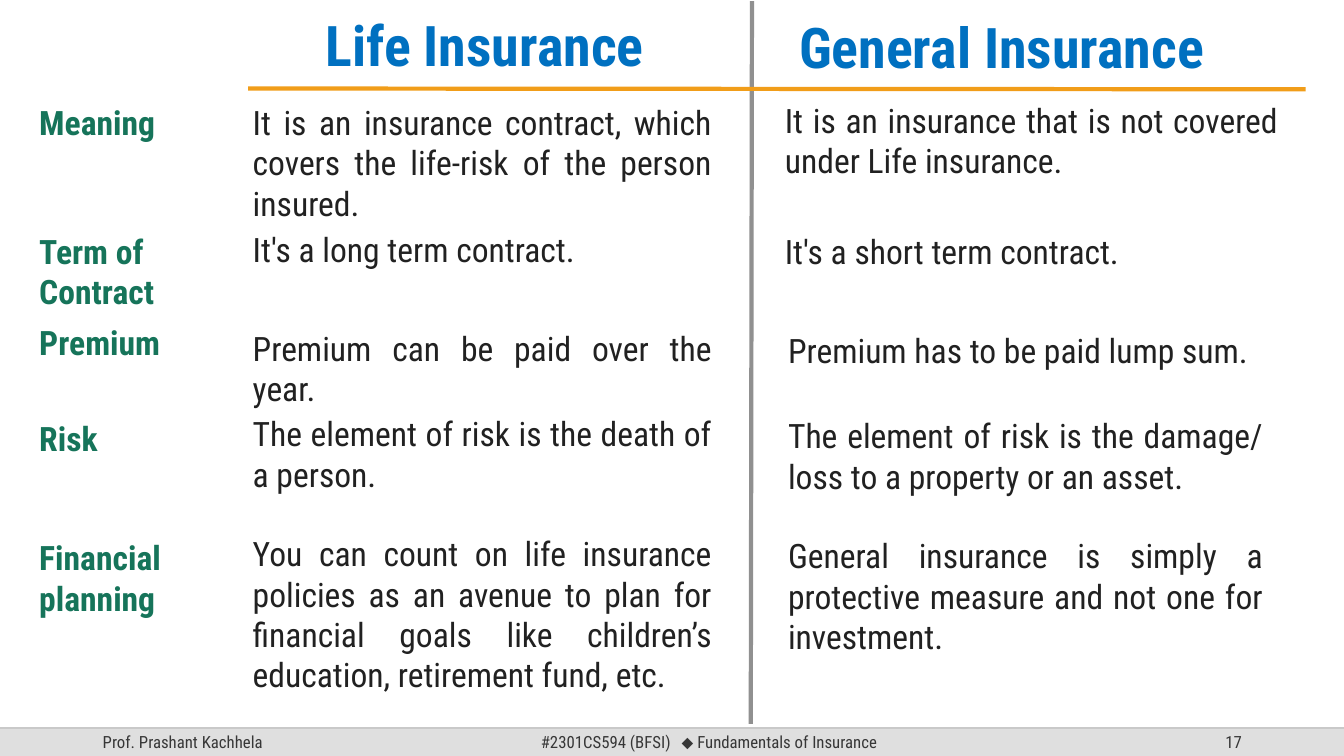
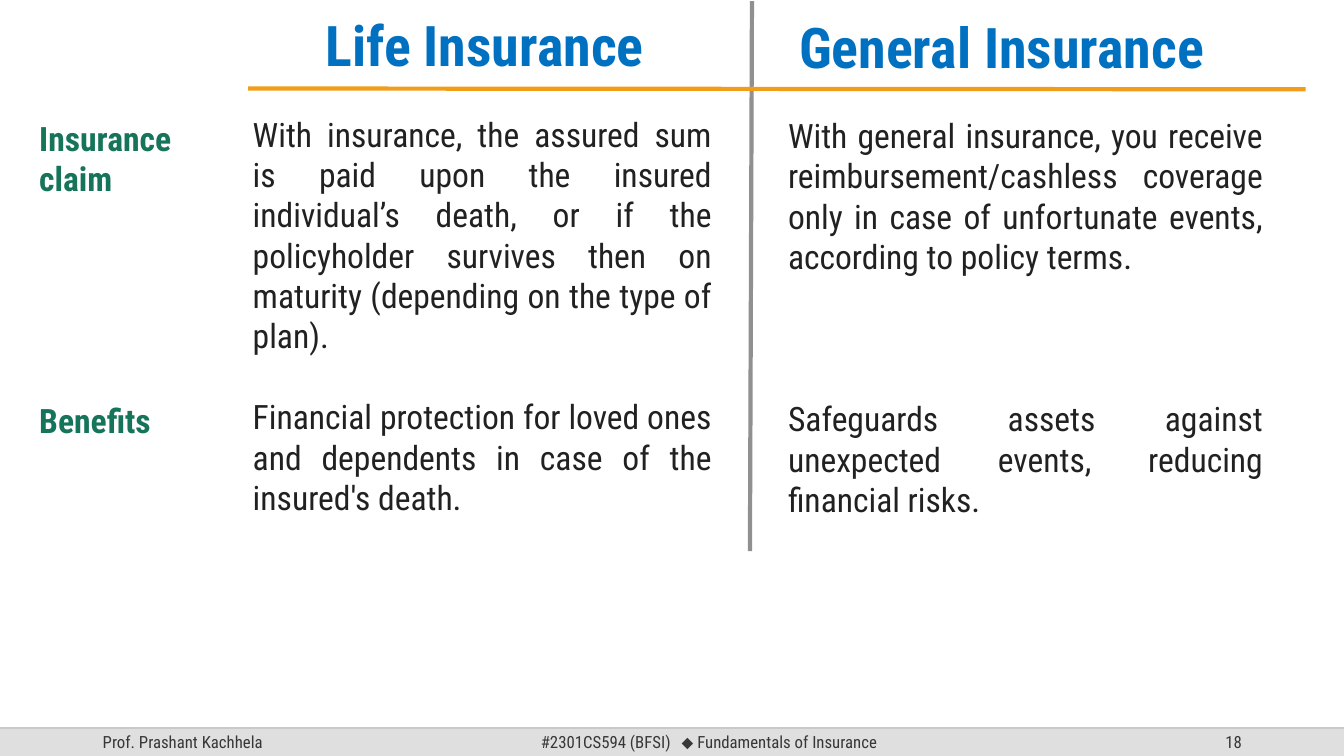
from lxml import etree
from pptx import Presentation
from pptx.dml.color import RGBColor
from pptx.enum.shapes import MSO_CONNECTOR, MSO_SHAPE
from pptx.enum.text import MSO_ANCHOR, MSO_AUTO_SIZE, PP_ALIGN
from pptx.oxml.ns import qn
from pptx.util import Cm, Pt

STRAIGHT = MSO_CONNECTOR.STRAIGHT
RECT = MSO_SHAPE.RECTANGLE
TOP, MIDDLE = MSO_ANCHOR.TOP, MSO_ANCHOR.MIDDLE
LEFT, RIGHT, JUSTIFY = PP_ALIGN.LEFT, PP_ALIGN.RIGHT, PP_ALIGN.JUSTIFY
NO_FIT = MSO_AUTO_SIZE.NONE

BLUE = RGBColor(0x00, 0x70, 0xC0)
GREEN = RGBColor(0x16, 0x74, 0x5A)
INK = RGBColor(0x21, 0x21, 0x21)
ORANGE = RGBColor(0xF1, 0x9D, 0x19)
GREY = RGBColor(0x90, 0x90, 0x90)
BAND = RGBColor(0xDF, 0xDF, 0xDF)
BAND_EDGE = RGBColor(0xC9, 0xC9, 0xC9)
FOOTER_INK = RGBColor(0x37, 0x37, 0x37)
FONT, SYMBOL_FONT, SYMBOL = "Roboto Condensed", "Arial", "⬥"

WIDTH, HEIGHT = 33.87, 19.05
BAND_TOP, BAND_HEIGHT = 18.34, 0.71
LABEL = (0.74, 4.5)
LIFE = (6.12, 12.07)
GENERAL = (19.61, 12.47)
GENERAL_WIDE = (19.53, 12.93)

HEADINGS = [
    ("Life Insurance", 7.95, 0.15, 9.2),
    ("General Insurance", 19.89, 0.2, 11.4),
]
FOOTER = [
    ("Prof. Prashant Kachhela", 2.34, 7.62),
    ("#2301CS594 (BFSI)", 13.38, 4),
    ("⬥ Fundamentals of Insurance", 16.93, 6.5),
]

SLIDES = [
    {
        "number": 17,
        "divider": (18.95, 0.03, 18.92, 18.24),
        "rows": [
            (GENERAL_WIDE, (2.44, 2.44, 2.39), "Meaning",
             "It is an insurance contract, which covers the life-risk of the person insured.",
             "It is an insurance that is not covered under Life insurance."),
            (GENERAL_WIDE, (5.69, 5.64, 5.69), "Term of\nContract",
             "It's a long term contract.",
             "It's a short term contract."),
            (GENERAL, (7.98, 8.13, 8.2), "Premium",
             "Premium can be paid over the year.",
             "Premium has to be paid lump sum."),
            (GENERAL, (10.41, 10.29, 10.34), "Risk",
             "The element of risk is the death of a person.",
             "The element of risk is the damage/ loss to a property or an asset."),
            (GENERAL, (13.41, 13.31, 13.36), "Financial\nplanning",
             "You can count on life insurance policies as an avenue to plan for "
             "financial goals like children’s education, retirement fund, etc.",
             "General insurance is simply a protective measure and not one for investment."),
        ],
    },
    {
        "number": 18,
        "divider": (18.95, 0.03, 18.9, 13.89),
        "rows": [
            (GENERAL, (2.84, 2.74, 2.77), "Insurance\nclaim",
             "With insurance, the assured sum is paid upon the insured individual’s death, "
             "or if the policyholder survives then on maturity (depending on the type of plan).",
             "With general insurance, you receive reimbursement/cashless coverage only in "
             "case of unfortunate events, according to policy terms."),
            (GENERAL, (9.96, 9.86, 9.91), "Benefits",
             "Financial protection for loved ones and dependents in case of the insured's death.",
             "Safeguards assets against unexpected events, reducing financial risks."),
        ],
    },
]


def write(shape, text, size=24, color=INK, bold=False, align=LEFT, anchor=TOP):
    tf = shape.text_frame
    tf.word_wrap = True
    tf.auto_size = NO_FIT
    tf.vertical_anchor = anchor
    for i, line in enumerate(text.split("\n")):
        p = tf.add_paragraph() if i else tf.paragraphs[0]
        p.alignment = align
        for part in filter(None, line.partition(SYMBOL)):
            r = p.add_run()
            r.text = part
            r.font.name = SYMBOL_FONT if part == SYMBOL else FONT
            r.font.size = Pt(size)
            r.font.bold = bold
            r.font.color.rgb = color


def add_text(s, text, x, y, w, h, **style):
    write(s.shapes.add_textbox(Cm(x), Cm(y), Cm(w), Cm(h)), text, **style)


def add_line(s, ends, color, width):
    line = s.shapes.add_connector(STRAIGHT, *map(Cm, ends))
    line.line.color.rgb = color
    line.line.width = Pt(width)
    etree.SubElement(line._element.spPr, qn("a:effectLst"))


def add_footer(s, number):
    band = s.shapes.add_shape(RECT, 0, Cm(BAND_TOP), Cm(WIDTH), Cm(BAND_HEIGHT))
    band.shadow.inherit = False
    band.fill.solid()
    band.fill.fore_color.rgb = BAND
    band.line.fill.background()
    add_line(s, (0, BAND_TOP, WIDTH, BAND_TOP), BAND_EDGE, 1)
    style = {"size": 12, "color": FOOTER_INK, "anchor": MIDDLE}
    for text, x, w in FOOTER:
        add_text(s, text, x, BAND_TOP, w, BAND_HEIGHT, **style)
    add_text(s, str(number), 23.93, BAND_TOP, 7.62, BAND_HEIGHT, align=RIGHT, **style)


def add_headings(s):
    style = {"size": 40, "color": BLUE, "bold": True}
    (text, x, y, w), general = HEADINGS
    title = s.shapes.title
    title.left, title.top, title.width, title.height = map(Cm, (x, y, w, 1.96))
    write(title, text, **style)
    text, x, y, w = general
    add_text(s, text, x, y, w, 1.96, **style)


def add_row(s, general, tops, label, *texts):
    x, w = LABEL
    add_text(s, label, x, tops[0], w, 2.3, color=GREEN, bold=True)
    for (x, w), y, text in zip((LIFE, general), tops[1:], texts):
        add_text(s, text, x, y, w, 2.3, align=JUSTIFY)


def main():
    prs = Presentation()
    prs.slide_width, prs.slide_height = Cm(WIDTH), Cm(HEIGHT)
    for content in SLIDES:
        s = prs.slides.add_slide(prs.slide_layouts[5])
        add_footer(s, content["number"])
        add_line(s, content["divider"], GREY, 3)
        add_line(s, (6.25, 2.23, 32.9, 2.25), ORANGE, 3)
        add_headings(s)
        for row in content["rows"]:
            add_row(s, *row)
    prs.save("out.pptx")


if __name__ == "__main__":
    main()
